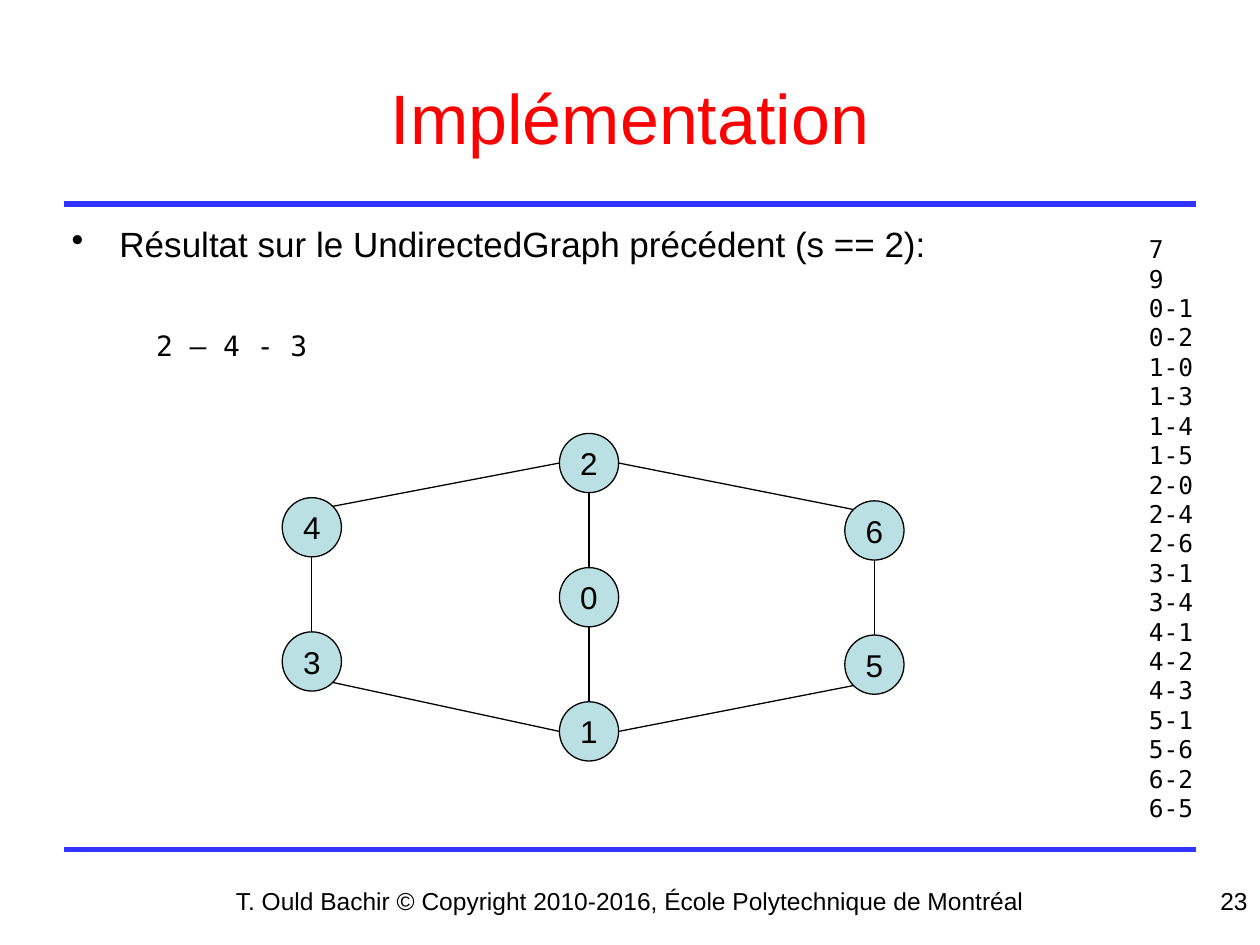
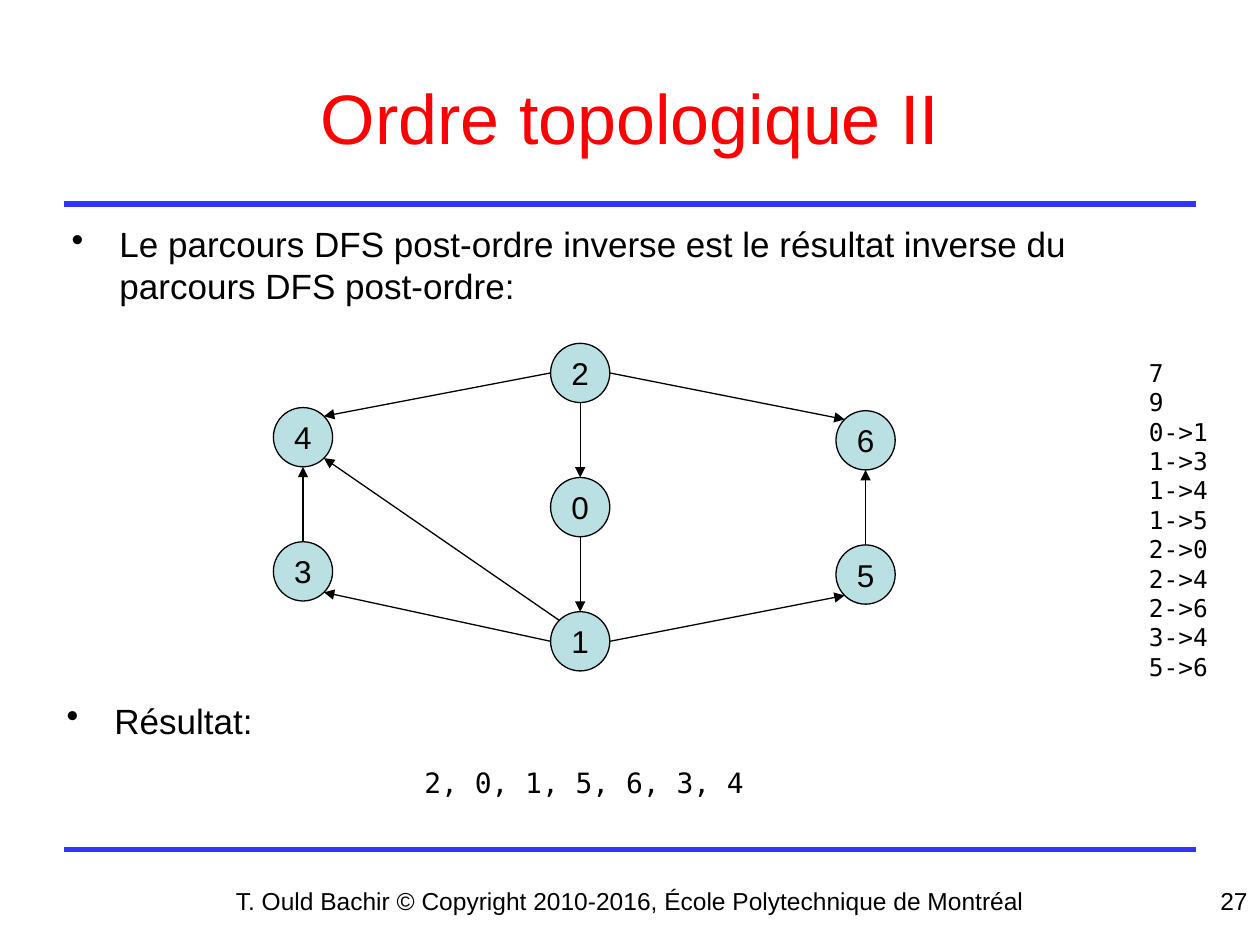
from math import cos, radians, sin

from pptx import Presentation
from pptx.dml.color import RGBColor
from pptx.enum.shapes import MSO_CONNECTOR, MSO_SHAPE
from pptx.enum.text import MSO_ANCHOR, PP_ALIGN
from pptx.oxml.ns import qn
from pptx.util import Inches, Pt
from lxml import etree

LINE, OVAL = MSO_CONNECTOR.STRAIGHT, MSO_SHAPE.OVAL
LEFT, MID, RIGHT = PP_ALIGN.LEFT, PP_ALIGN.CENTER, PP_ALIGN.RIGHT
TOP, HALF = MSO_ANCHOR.TOP, MSO_ANCHOR.MIDDLE

# Shared look
HEX = {"title": "FF0000", "rule": "3333FF", "node": "BBE0E3", "ink": "000000"}
SANS, MONO = "Arial", "DejaVu Sans Mono"
WIDE, HIGH = 10, 7.5
RULES = (1.62, 6.74)
FOOT = "T. Ould Bachir © Copyright 2010-2016, École Polytechnique de Montréal"

# Graph: node offsets from node 2, in inches
SIZE, STEP = 0.47, 1.065
WEST, EAST = -2.2, 2.265
NODES = {
    "2": (0, 0), "0": (0, STEP), "1": (0, 2 * STEP),
    "6": (EAST, 0.535), "5": (EAST, 0.535 + STEP),
    "4": (WEST, 0.51), "3": (WEST, 0.51 + STEP),
}
# Angle of each docking point, clockwise from the right
DOCK = {"e": 0, "se": 45, "s": 90, "sw": 135, "w": 180, "nw": 225, "n": 270, "ne": 315}
EDGES = [
    ("2", "w", "4", "ne"), ("2", "s", "0", "n"), ("0", "s", "1", "n"),
    ("3", "n", "4", "s"), ("1", "w", "3", "se"), ("2", "e", "6", "nw"),
    ("5", "n", "6", "s"), ("1", "e", "5", "sw"),
]
CROSS = ("1", "nw", "4", "se")

# Content of each slide; bullets and codes are (text, box)
SLIDES = [
    {
        "title": "Implémentation", "page": "23",
        "bullets": [("Résultat sur le UndirectedGraph précédent (s == 2):",
                     (0.47, 1.72, 8.94, 0.46))],
        "codes": [("2 – 4 - 3", (1.14, 2.56, 8.43, 0.37))],
        "list": "7 9 0-1 0-2 1-0 1-3 1-4 1-5 2-0 2-4 2-6 3-1 3-4 4-1 4-2 4-3 5-1 5-6 6-2 6-5",
        "top": 1.81, "graph": (4.44, 3.44), "edges": EDGES, "arrow": False,
    },
    {
        "title": "Ordre topologique II", "page": "27",
        "bullets": [("Le parcours DFS post-ordre inverse est le résultat inverse du "
                     "parcours DFS post-ordre:", (0.47, 1.72, 9.03, 0.61)),
                    ("Résultat:", (0.43, 5.5, 9.53, 0.61))],
        "codes": [("2, 0, 1, 5, 6, 3, 4", (3.27, 6.03, 2.83, 0.37))],
        "list": "7 9 0->1 1->3 1->4 1->5 2->0 2->4 2->6 3->4 5->6",
        "top": 2.79, "graph": (4.37, 2.725), "edges": EDGES + [CROSS], "arrow": True,
    },
]


def tint(name):
    return RGBColor.from_string(HEX[name])


def write(frame, text, size, font=SANS, ink="ink", align=LEFT, anchor=TOP):
    frame.text = text
    frame.vertical_anchor = anchor
    for par in frame.paragraphs:
        par.alignment = align
        for run in par.runs:
            run.font.size, run.font.name = Pt(size), font
            run.font.color.rgb = tint(ink)


def label(slide, box, text, size, **look):
    frame = slide.shapes.add_textbox(*map(Inches, box)).text_frame
    frame.word_wrap = True
    write(frame, text, size, **look)
    return frame


def bullet(slide, box, text):
    par = label(slide, box, text, 20).paragraphs[0]
    par.space_before = Pt(4)
    props = par._p.get_or_add_pPr()
    props.set("marL", str(Inches(0.38)))
    props.set("indent", str(-Inches(0.38)))
    etree.SubElement(props, qn("a:buChar")).set("char", "•")


def line(slide, start, end, ink="ink", width=0.75, arrow=False):
    link = slide.shapes.add_connector(LINE, *map(Inches, (*start, *end)))
    link.line.color.rgb, link.line.width = tint(ink), Pt(width)
    if arrow:
        tail = etree.SubElement(link.line._get_or_add_ln(), qn("a:tailEnd"))
        tail.set("type", "triangle")
    etree.SubElement(link._element.spPr, qn("a:effectLst"))


def graph(slide, left, top, edges, arrow):
    def dock(node, side):
        turn, half = radians(DOCK[side]), SIZE / 2
        x, y = NODES[node]
        return left + x + half * (1 + cos(turn)), top + y + half * (1 + sin(turn))

    for name, (x, y) in NODES.items():
        disc = slide.shapes.add_shape(OVAL, *map(Inches, (left + x, top + y, SIZE, SIZE)))
        disc.shadow.inherit = False
        disc.fill.solid()
        disc.fill.fore_color.rgb = tint("node")
        disc.line.color.rgb, disc.line.width = tint("ink"), Pt(0.75)
        disc.text_frame.word_wrap = False
        write(disc.text_frame, name, 18, align=MID, anchor=HALF)
    for tail, out, head, into in edges:
        line(slide, dock(tail, out), dock(head, into), arrow=arrow)


def frame_page(slide, title, page):
    for y in RULES:
        line(slide, (0.51, y), (WIDE - 0.51, y), "rule", 3)
    label(slide, (0.5, 0.3, WIDE - 1, 1.25), title, 40, ink="title", align=MID, anchor=HALF)
    label(slide, (0, 6.98, WIDE, 0.52), FOOT, 14, align=MID)
    label(slide, (7.67, 6.98, WIDE - 7.67, 0.52), page, 14, align=RIGHT)


# Build the deck
deck = Presentation()
deck.slide_width, deck.slide_height = Inches(WIDE), Inches(HIGH)
for data in SLIDES:
    slide = deck.slides.add_slide(deck.slide_layouts[6])
    frame_page(slide, data["title"], data["page"])
    for text, box in data["bullets"]:
        bullet(slide, box, text)
    for text, box in data["codes"]:
        label(slide, box, text, 16, font=MONO)
    rows = data["list"].split()
    box = (9.02, data["top"], WIDE - 9.02, 0.1 + 0.235 * len(rows))
    label(slide, box, "\n".join(rows), 14, font=MONO)
    graph(slide, *data["graph"], data["edges"], data["arrow"])
deck.save("out.pptx")
